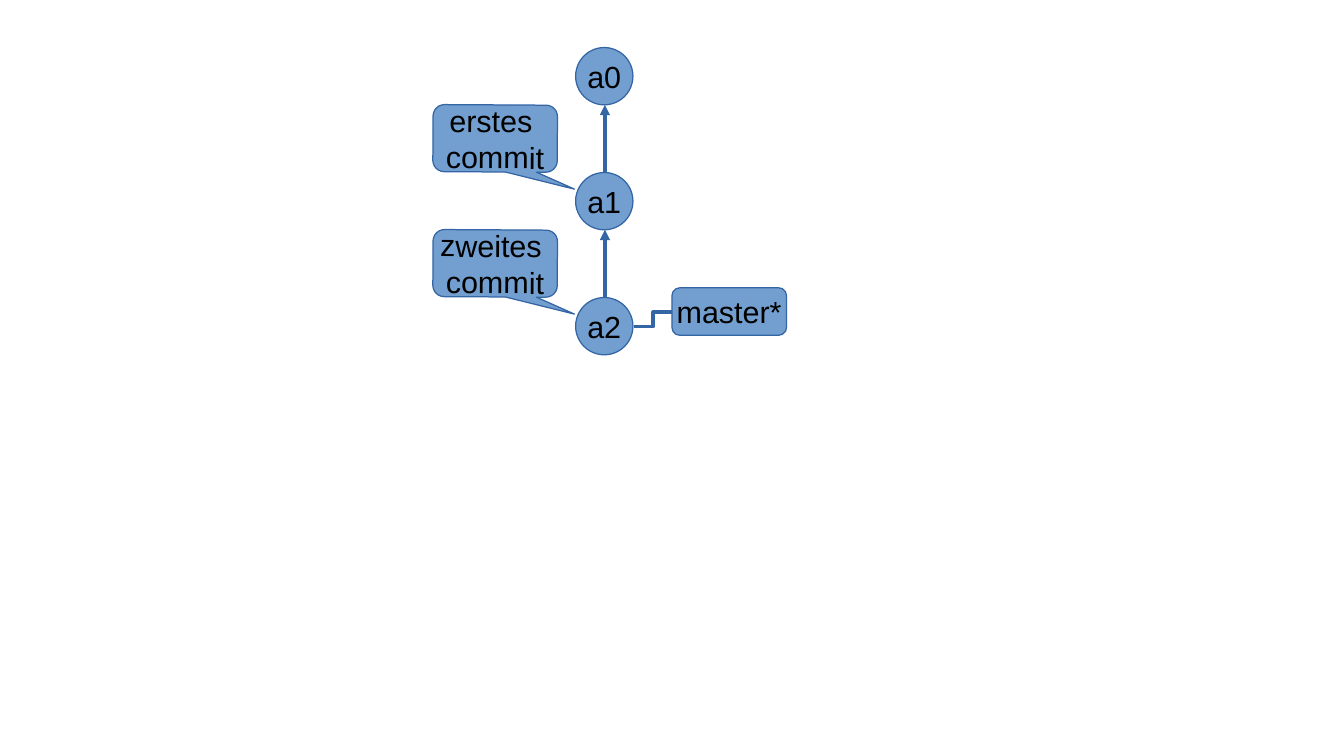
"""Build a slide showing a commit history with its master branch."""
from pptx import Presentation
from pptx.dml.color import RGBColor
from pptx.enum.shapes import MSO_CONNECTOR, MSO_SHAPE
from pptx.enum.text import MSO_ANCHOR, PP_ALIGN
from pptx.oxml.ns import qn
from pptx.util import Inches, Pt
from lxml.etree import SubElement

COLORS = {"fill": "729FCF", "line": "3465A4", "text": "000000"}
FRAME = {"word_wrap": False, "vertical_anchor": MSO_ANCHOR.MIDDLE}
FONT = {"name": "Arial", "size": Pt(18)}
NODE_LEFT, NODE_TOP, NODE_SIZE, STEP = 4.72, 0.39, 0.47, 1.025
CENTER = 4.96

prs = Presentation()
prs.slide_width, prs.slide_height = Inches(11.02), Inches(6.2)
slide = prs.slides.add_slide(prs.slide_layouts[6])


def add_label(kind, text, left, top, width, height):
    label = slide.shapes.add_shape(kind, Inches(left), Inches(top), Inches(width), Inches(height))
    label.shadow.inherit = False
    label.fill.solid()
    label.fill.fore_color.rgb = RGBColor.from_string(COLORS["fill"])
    label.line.color.rgb = RGBColor.from_string(COLORS["line"])
    label.line.width = Pt(0)
    label.text_frame.text = text
    for key, value in FRAME.items():
        setattr(label.text_frame, key, value)
    for paragraph in label.text_frame.paragraphs:
        paragraph.alignment = PP_ALIGN.CENTER
        for run in paragraph.runs:
            for key, value in FONT.items():
                setattr(run.font, key, value)
            run.font.color.rgb = RGBColor.from_string(COLORS["text"])
    return label


def add_link(kind, x1, y1, x2, y2):
    link = slide.shapes.add_connector(kind, Inches(x1), Inches(y1), Inches(x2), Inches(y2))
    link.line.color.rgb = RGBColor.from_string(COLORS["line"])
    link.line.width = Pt(0)
    SubElement(link._element.spPr, qn("a:effectLst"))
    return link


add_label(MSO_SHAPE.FLOWCHART_ALTERNATE_PROCESS, "master*", 5.51, 2.36, 0.94, 0.39)
add_link(MSO_CONNECTOR.ELBOW, 5.2, 2.68, 5.51, 2.56)

for index, commit in enumerate(["a0", "a1", "a2"]):
    add_label(MSO_SHAPE.OVAL, commit, NODE_LEFT, NODE_TOP + index * STEP, NODE_SIZE, NODE_SIZE)

for index, message in enumerate(["erstes \ncommit", "zweites \ncommit"]):
    parent_bottom = NODE_TOP + NODE_SIZE + index * STEP
    child_top = NODE_TOP + (index + 1) * STEP
    parent_arrow = add_link(MSO_CONNECTOR.STRAIGHT, CENTER, child_top, CENTER, parent_bottom)
    SubElement(parent_arrow.line._get_or_add_ln(), qn("a:tailEnd"), type="triangle")
    callout = add_label(MSO_SHAPE.ROUNDED_RECTANGULAR_CALLOUT, message, 3.55, parent_bottom, 1.02, 0.55)
    callout.rotation = 0.3
    for position, value in enumerate([0.64, 0.75, 0.17]):
        callout.adjustments[position] = value

prs.save("out.pptx")
